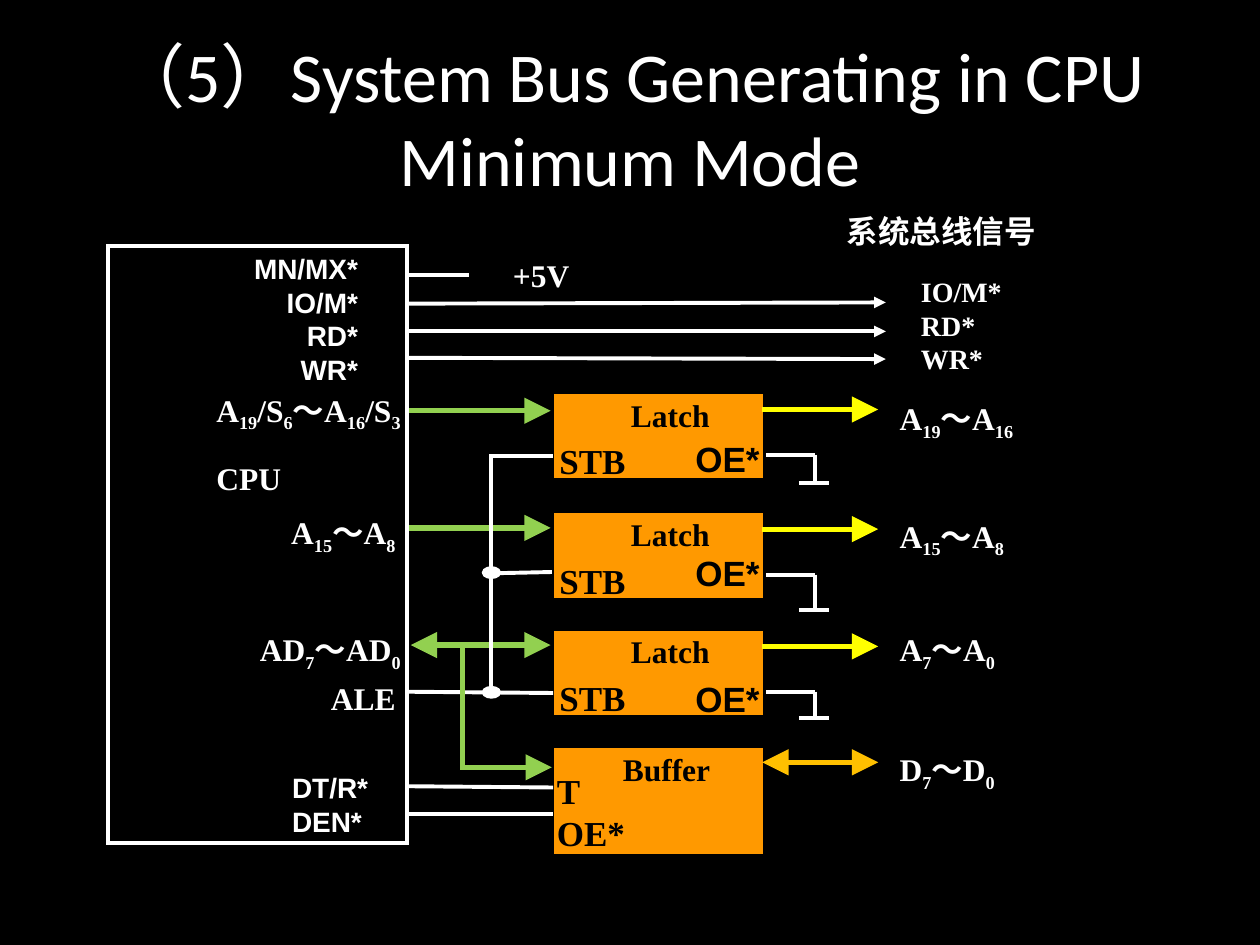
from lxml.etree import SubElement
from pptx import Presentation
from pptx.dml.color import RGBColor as Color
from pptx.enum.shapes import MSO_CONNECTOR as Link, MSO_SHAPE as Preset
from pptx.enum.text import MSO_ANCHOR as Anchor, MSO_AUTO_SIZE as Auto, PP_ALIGN as Align
from pptx.oxml.ns import qn
from pptx.util import Inches, Pt

THEME = {
    "paper": "000000", "ink": "FFFFFF", "chip": "FF9900", "chip_ink": "000000",
    "inner": "92D050", "outer": "FFFF00", "data": "FFC000",
    "serif": "Times New Roman", "sans": "Arial", "title_font": "Calibri",
    "title": 40, "pin": 20, "label": 18, "small": 16, "thin": 2.24, "thick": 3,
}
LEFT, CENTER, RIGHT = Align.LEFT, Align.CENTER, Align.RIGHT
CPU_LEFT, CPU_TOP, CPU_WIDTH, CPU_HEIGHT = 0.86, 1.95, 2.37, 4.74
CPU_EDGE = 3.22
CHIP_LEFT, CHIP_WIDTH = 4.38, 1.69
STROBE_X, BRANCH_X, GROUND_X = 3.9, 3.67, 6.47
BUS_LEFT, BUS_RIGHT = 6.05, 6.97

CPU_NAME, LATCH_NAME, BUFFER_NAME = "CPU", "Latch", "Buffer"
TITLE = f"（5）System Bus Generating in {CPU_NAME} Minimum Mode"
LATCHES = [
    {"top": 3.11, "bus": 3.26, "enable": 3.42, "drop": 0.22, "output": "A|19|～A|16", "output_y": 3.16},
    {"top": 4.06, "bus": 4.19, "enable": 4.33, "drop": 0.28, "output": "A|15|～A|8", "output_y": 4.09},
    {"top": 4.99, "bus": 5.12, "enable": 5.33, "drop": 0.21, "output": "A|7|～A|0", "output_y": 4.99},
]
BUFFER_TOP, BUFFER_HEIGHT, LATCH_HEIGHT = 5.92, 0.87, 0.7
LABELS = [
    (["A|19|/S|6|～A|16|/S|3"], (0.58, 3.09, 2.61, 0.39), RIGHT),
    (["A|15|～A|8"], (1.81, 4.06, 1.34, 0.35), RIGHT),
    (["AD|7|～AD|0"], (1.58, 4.99, 1.61, 0.52), RIGHT),
    (["ALE"], (1.99, 5.38, 1.16, 0.31), RIGHT),
    ([CPU_NAME], (1.28, 3.63, 1.39, 0.31), CENTER),
    (["+5V"], (3.79, 2.02, 1.01, 0.31), CENTER),
    (["系统总线信号"], (6.29, 1.67, 2.36, 0.32), CENTER),
    (["D|7|～D|0"], (7.13, 5.94, 1.24, 0.29), LEFT),
]
CPU_PINS = [
    (["MN/MX*", "IO/M*", "RD*", "WR*"], (1.72, 1.95, 1.22, 1.17), RIGHT),
    (["DT/R*", "DEN*"], (2.22, 6.07, 0.95, 0.64), LEFT),
]
CONTROL_LINES = [(2.41, 2.4), (2.63, 2.63), (2.84, 2.85)]
CHIP_LINES = [(5.49, 5.5), (6.24, 6.25), (6.46, 6.46)]

deck = Presentation()
deck.slide_width, deck.slide_height = Inches(10), Inches(7.5)
page = deck.slides.add_slide(deck.slide_layouts[5])
page.background.fill.solid()
page.background.fill.fore_color.rgb = Color.from_string(THEME["paper"])


def assign(target, values):
    for name, value in values.items():
        setattr(target, name, value)


def place(shape, at):
    assign(shape, dict(zip(("left", "top", "width", "height"), map(Inches, at))))


def write(frame, lines, align, size="label", font="serif", color="ink", bold=True):
    for index, line in enumerate(lines):
        para = frame.paragraphs[0] if index == 0 else frame.add_paragraph()
        para.alignment = align
        for position, piece in enumerate(line.split("|")):
            if not piece:
                continue
            span = para.add_run()
            span.text = piece
            assign(span.font, {"name": THEME[font], "size": Pt(THEME[size]), "bold": bold})
            span.font.color.rgb = Color.from_string(THEME[color])
            if position % 2:
                span.font._element.set("baseline", "-25000")


def label(lines, at, align=LEFT, padded=False, **style):
    box = page.shapes.add_textbox(*map(Inches, at))
    side, edge = (0.1, 0.05) if padded else (0.01, 0.01)
    assign(box.text_frame, {
        "margin_left": Inches(side), "margin_right": Inches(side),
        "margin_top": Inches(edge), "margin_bottom": Inches(edge),
        "word_wrap": True, "vertical_anchor": Anchor.TOP, "auto_size": Auto.NONE,
    })
    write(box.text_frame, lines, align, **style)


def stroke(shape, color="ink", weight="thin", ends=()):
    shape.line.color.rgb = Color.from_string(THEME[color])
    shape.line.width = Pt(THEME[weight])
    outline = shape.line._get_or_add_ln()
    SubElement(outline, qn("a:miter"), lim="800000")
    scale = "lg" if weight == "thick" else "med"
    for end in ends:
        SubElement(outline, qn(f"a:{end}End"), type="triangle", w=scale, len=scale)


def wire(start, finish, **style):
    line = page.shapes.add_connector(Link.STRAIGHT, *map(Inches, (*start, *finish)))
    SubElement(line._element.spPr, qn("a:effectLst"))
    stroke(line, **style)


def bent_wire(points, **style):
    start, *rest = [tuple(map(Inches, point)) for point in points]
    builder = page.shapes.build_freeform(*start)
    builder.add_line_segments(rest, close=False)
    bend = builder.convert_to_shape()
    bend.fill.background()
    bend.shadow.inherit = False
    stroke(bend, **style)


def block(preset, at, fill=None, line="ink"):
    shape = page.shapes.add_shape(preset, *map(Inches, at))
    shape.shadow.inherit = False
    if fill:
        shape.fill.solid()
        shape.fill.fore_color.rgb = Color.from_string(THEME[fill])
    else:
        shape.fill.background()
    stroke(shape, line)


title = page.shapes.title
place(title, (0.5, 0.3, 9, 1.25))
assign(title.text_frame, {"word_wrap": True, "vertical_anchor": Anchor.MIDDLE, "auto_size": Auto.NONE})
write(title.text_frame, [TITLE], CENTER, size="title", font="title_font", bold=False)

for latch in LATCHES:
    top, bus = latch["top"], latch["bus"]
    block(Preset.RECTANGLE, (CHIP_LEFT, top, CHIP_WIDTH, LATCH_HEIGHT), "chip", "paper")
    label([LATCH_NAME], (4.72, top + 0.02, 1.2, 0.31), CENTER, color="chip_ink")
    label(["STB"], (4.43, top + 0.37, 1.01, 0.31), size="pin", color="chip_ink")
    label(["OE*"], (5.42, latch["enable"], 0.85, 0.44), padded=True, size="pin", font="sans", color="chip_ink")
    label([latch["output"]], (7.13, latch["output_y"], 1.71, 0.29))
    two_way = latch is LATCHES[-1]
    wire((3.26 if two_way else CPU_EDGE, bus), (4.37, bus), color="inner", weight="thick",
         ends=("head", "tail") if two_way else ("tail",))
    wire((BUS_LEFT, top + 0.14), (BUS_RIGHT, top + 0.14), color="outer", weight="thick", ends=("tail",))
    ground = top + 0.5
    floor = ground + latch["drop"]
    wire((6.08, ground), (GROUND_X, ground))
    wire((GROUND_X, ground), (GROUND_X, floor))
    wire((6.34, floor), (6.58, floor))

block(Preset.RECTANGLE, (CHIP_LEFT, BUFFER_TOP, CHIP_WIDTH, BUFFER_HEIGHT), "chip", "paper")
label([BUFFER_NAME], (4.69, 5.94, 1.2, 0.31), CENTER, color="chip_ink")
label(["T", "OE*"], (4.41, 6.1, 1.01, 0.47), size="pin", color="chip_ink")
wire((BUS_LEFT, 6.05), (BUS_RIGHT, 6.05), color="data", weight="thick", ends=("head", "tail"))

for lines, at, align in LABELS:
    label(lines, at, align)
for lines, at, align in CPU_PINS:
    label(lines, at, align, padded=True, size="small", font="sans")
label(["IO/M*", "RD*", "WR*"], (7.3, 2.17, 1.2, 0.83), size="small")

wire((CPU_EDGE, 2.18), (3.72, 2.18))
for start_y, finish_y in CONTROL_LINES:
    wire((CPU_EDGE, start_y), (7.03, finish_y), ends=("tail",))
for start_y, finish_y in CHIP_LINES:
    wire((CPU_EDGE, start_y), (4.39, finish_y))
wire((STROBE_X, 4.55), (CHIP_LEFT, 4.54))
for joint_y in (4.51, 5.46):
    block(Preset.OVAL, (STROBE_X - 0.06, joint_y, 0.12, 0.07), "ink")
bent_wire([(BRANCH_X, 5.12), (BRANCH_X, 6.09), (CHIP_LEFT, 6.09)], color="inner", weight="thick", ends=("tail",))
bent_wire([(STROBE_X, 5.48), (STROBE_X, 3.62), (4.39, 3.62)])
block(Preset.RECTANGLE, (CPU_LEFT, CPU_TOP, CPU_WIDTH, CPU_HEIGHT))

deck.save("out.pptx")
